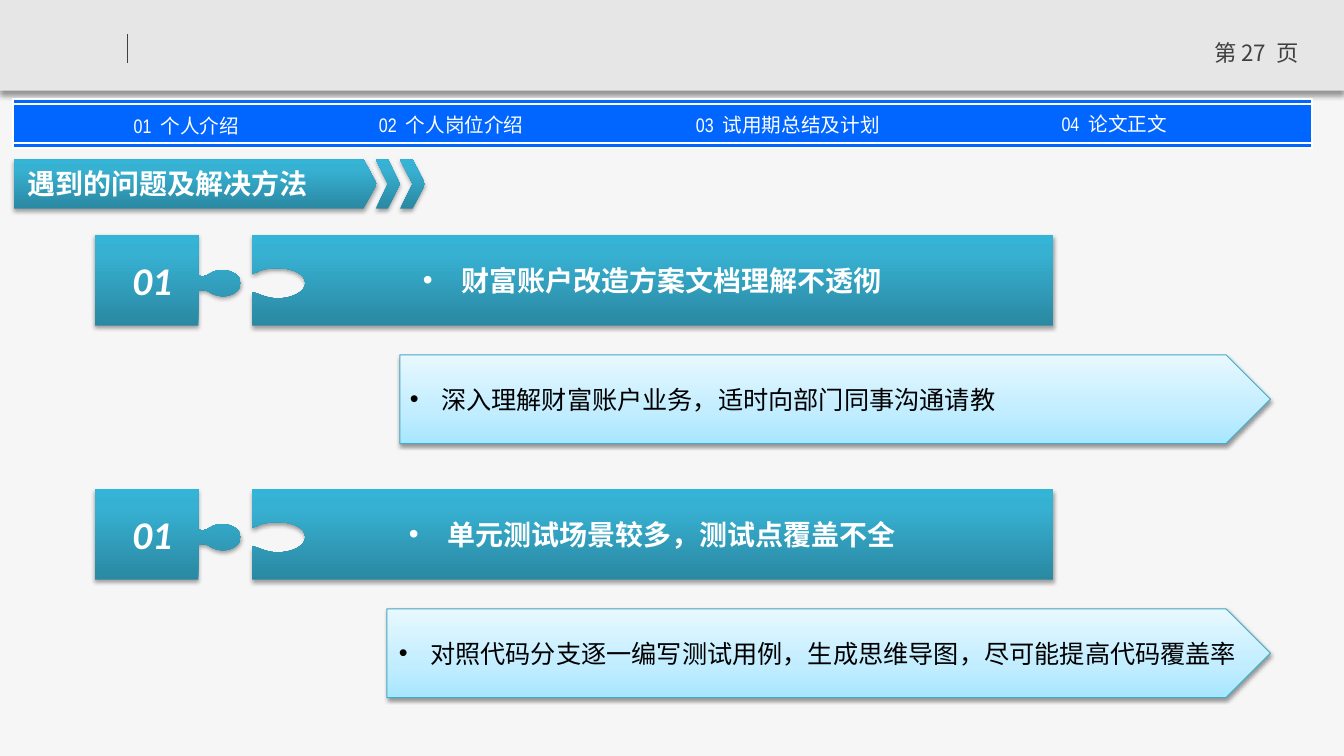
from dataclasses import dataclass

from pptx import Presentation
from pptx.dml.color import RGBColor
from pptx.enum.shapes import MSO_CONNECTOR, MSO_SHAPE
from pptx.enum.text import MSO_ANCHOR, PP_ALIGN
from pptx.oxml import parse_xml
from pptx.oxml.ns import nsdecls, qn
from pptx.shapes.autoshape import Shape
from pptx.slide import Slide
from pptx.util import Inches, Pt

CJK = "Noto Sans CJK SC"
TEAL = ((0, "2A88A2"), (80, "37B1D2"), (100, "34B4D6"))
SKY = ((0, "A7E6FF"), (35, "C1EDFF"), (100, "E7F8FF"))

KNOB = (
    (1.27, 0.35),
    (1.22, 0.35, 1.18, 0.36, 1.15, 0.38),
    (1.15, 0.38, 1.14, 0.39, 1.13, 0.39),
    (1.12, 0.40, 1.10, 0.41, 1.08, 0.41),
    (1.06, 0.41, 1.04, 0.41, 1.03, 0.40),
    (1.03, 0), (0, 0), (0, 0.9), (1.03, 0.9), (1.03, 0.55),
    (1.05, 0.55, 1.06, 0.55, 1.07, 0.55),
    (1.10, 0.55, 1.13, 0.56, 1.14, 0.57),
    (1.15, 0.58, 1.21, 0.61, 1.27, 0.61),
    (1.37, 0.61, 1.45, 0.55, 1.45, 0.48),
    (1.45, 0.41, 1.37, 0.35, 1.27, 0.35),
)
SOCKET = (
    (0, 0), (0, 0.39),
    (0.01, 0.38, 0.03, 0.38, 0.05, 0.37),
    (0.05, 0.37, 0.06, 0.37, 0.07, 0.36),
    (0.12, 0.34, 0.18, 0.33, 0.25, 0.33),
    (0.41, 0.33, 0.53, 0.39, 0.53, 0.48),
    (0.53, 0.56, 0.41, 0.63, 0.25, 0.63),
    (0.17, 0.63, 0.07, 0.59, 0.05, 0.58),
    (0.04, 0.58, 0.02, 0.57, 0, 0.57),
    (0, 0.9), (7.95, 0.9), (7.95, 0),
)


@dataclass(frozen=True)
class Shadow:
    alpha: int
    blur: float
    distance: float


@dataclass(frozen=True)
class Label:
    text: str
    size: int
    color: str = "FFFFFF"
    font: str = "Calibri"
    bold: bool = False
    italic: bool = False
    align: PP_ALIGN = PP_ALIGN.CENTER
    anchor: MSO_ANCHOR = MSO_ANCHOR.MIDDLE
    margins: tuple[float, ...] = (0.1, 0.05, 0.1, 0.05)
    bullet_indent: float = 0


@dataclass(frozen=True)
class NavItem:
    left: float
    top: float
    text: str


@dataclass(frozen=True)
class Issue:
    top: float
    problem: str
    answer: str
    answer_left: float
    answer_align: PP_ALIGN


TEAL_SHADOW = Shadow(35, 3.1, 1.8)
NAVIGATION = (
    NavItem(0.61, 1.13, "01  个人介绍"),
    NavItem(3.24, 1.12, "02  个人岗位介绍"),
    NavItem(9.82, 1.11, "04  论文正文"),
    NavItem(6.58, 1.12, "03  试用期总结及计划"),
)
ISSUES = (
    Issue(2.33, "财富账户改造方案文档理解不透彻",
          "深入理解财富账户业务，适时向部门同事沟通请教", 3.97, PP_ALIGN.LEFT),
    Issue(4.85, "单元测试场景较多，测试点覆盖不全",
          "对照代码分支逐一编写测试用例，生成思维导图，尽可能提高代码覆盖率", 3.84, PP_ALIGN.CENTER),
)


def rgb(value: str) -> RGBColor:
    return RGBColor.from_string(value)


def write(box: Shape, label: Label) -> None:
    frame = box.text_frame
    left, top, right, bottom = map(Inches, label.margins)
    layout = {"word_wrap": True, "vertical_anchor": label.anchor, "margin_left": left,
              "margin_top": top, "margin_right": right, "margin_bottom": bottom}
    for name, value in layout.items():
        setattr(frame, name, value)
    para = frame.paragraphs[0]
    para.alignment = label.align
    if label.bullet_indent:
        properties = para._p.get_or_add_pPr()
        properties.set("marL", str(Inches(label.bullet_indent)))
        properties.set("indent", str(-Inches(label.bullet_indent)))
        properties.append(parse_xml(f'<a:buFont {nsdecls("a")} typeface="Arial"/>'))
        properties.append(parse_xml(f'<a:buChar {nsdecls("a")} char="•"/>'))
    span = para.add_run()
    span.text = label.text
    formats = {"name": label.font, "size": Pt(label.size), "bold": label.bold, "italic": label.italic}
    for name, value in formats.items():
        setattr(span.font, name, value)
    span.font.color.rgb = rgb(label.color)
    span.font._element.append(parse_xml(f'<a:ea {nsdecls("a")} typeface="{CJK}"/>'))


def paint(shape: Shape, fill: str | tuple, line: str = "", width: float = 0.75,
          shadow: Shadow | None = None) -> None:
    shape.fill.solid()
    if isinstance(fill, str):
        shape.fill.fore_color.rgb = rgb(fill)
    else:
        stops = "".join(f'<a:gs pos="{place * 1000}"><a:srgbClr val="{color}"/></a:gs>'
                        for place, color in fill)
        properties = shape._element.spPr
        properties.replace(properties.find(qn("a:solidFill")), parse_xml(
            f'<a:gradFill {nsdecls("a")} rotWithShape="1"><a:gsLst>{stops}</a:gsLst>'
            '<a:lin ang="16200000" scaled="0"/></a:gradFill>'))
    if line:
        shape.line.color.rgb = rgb(line)
        shape.line.width = Pt(width)
    else:
        shape.line.fill.background()
    shape.shadow.inherit = False
    if shadow:
        shape._element.spPr.find(qn("a:effectLst")).append(parse_xml(
            f'<a:outerShdw {nsdecls("a")} blurRad="{Pt(shadow.blur)}" dist="{Pt(shadow.distance)}" '
            f'dir="5400000" algn="t" rotWithShape="0"><a:srgbClr val="000000">'
            f'<a:alpha val="{shadow.alpha * 1000}"/></a:srgbClr></a:outerShdw>'))


def add_preset(page: Slide, kind: MSO_SHAPE, *area: float) -> Shape:
    return page.shapes.add_shape(kind, *map(Inches, area))


def add_text(page: Slide, label: Label, *area: float) -> None:
    write(page.shapes.add_textbox(*map(Inches, area)), label)


def bend(piece: Shape, outline: tuple) -> None:
    segments = iter(list(piece._element.iter(qn("a:lnTo"))))
    for step in outline[1:]:
        first = next(segments)
        if len(step) == 2:
            continue
        curve = parse_xml(f'<a:cubicBezTo {nsdecls("a")}/>')
        first.addprevious(curve)
        for segment in (first, next(segments), next(segments)):
            curve.append(segment[0])
            segment.getparent().remove(segment)


def add_puzzle(page: Slide, outline: tuple, left: float, top: float, label: Label) -> None:
    points = [(Inches(left + step[at]), Inches(top + step[at + 1]))
              for step in outline for at in range(0, len(step), 2)]
    builder = page.shapes.build_freeform(*points[0])
    builder.add_line_segments(points[1:], close=True)
    piece = builder.convert_to_shape()
    bend(piece, outline)
    paint(piece, TEAL, shadow=TEAL_SHADOW)
    write(piece, label)


def add_header(page: Slide) -> None:
    paint(add_preset(page, MSO_SHAPE.RECTANGLE, 0, 0, 13.34, 0.9), "E6E6E6", shadow=Shadow(40, 4, 3))
    divider = page.shapes.add_connector(MSO_CONNECTOR.STRAIGHT, *map(Inches, (1.27, 0.34, 1.27, 0.63)))
    divider.line.color.rgb = rgb("404040")
    divider.line.width = Pt(0.75)
    divider._element.spPr.append(parse_xml(f'<a:effectLst {nsdecls("a")}/>'))
    add_text(page, Label("第 27  页", 16, "404040", CJK, anchor=MSO_ANCHOR.TOP), 11.87, 0.34, 1.2, 0.4)
    for top, height in ((1.03, 0.43), (1.42, 0.05), (0.98, 0.05)):
        paint(add_preset(page, MSO_SHAPE.RECTANGLE, 0.13, top, 12.89, height), "0066FF", "FFFFFF", 1.5)
    for item in NAVIGATION:
        label = Label(item.text, 14, font="Arial Narrow", margins=(0, 0, 0, 0))
        add_text(page, label, item.left, item.top, 2.48, 0.24)


def add_title(page: Slide) -> None:
    banner = add_preset(page, MSO_SHAPE.PENTAGON, 0.14, 1.58, 3.6, 0.49)
    banner.adjustments[0] = 0.27
    chevrons = [add_preset(page, MSO_SHAPE.CHEVRON, left, 1.58, width, 0.49)
                for left, width in ((3.73, 0.24), (3.97, 0.25))]
    for shape in (banner, *chevrons):
        paint(shape, TEAL, shadow=TEAL_SHADOW)
    add_text(page, Label(" 遇到的问题及解决方法", 20, font=CJK, bold=True, align=PP_ALIGN.LEFT,
                         anchor=MSO_ANCHOR.TOP), 0.11, 1.6, 3.72, 0.44)


def add_issue(page: Slide, issue: Issue) -> None:
    number = Label("01", 28, bold=True, italic=True, margins=(0, 0.05, 0.31, 0.05))
    problem = Label(issue.problem, 20, bold=True, margins=(0.29, 0.05, 0.29, 0.05), bullet_indent=0.38)
    add_puzzle(page, KNOB, 0.94, issue.top, number)
    add_puzzle(page, SOCKET, 2.5, issue.top, problem)
    arrow = add_preset(page, MSO_SHAPE.PENTAGON, issue.answer_left, issue.top + 1.19,
                       12.61 - issue.answer_left, 0.88)
    paint(arrow, SKY, "46AAC5", shadow=Shadow(38, 3.1, 1.6))
    write(arrow, Label(issue.answer, 18, "000000", align=issue.answer_align, bullet_indent=0.31))


def main() -> None:
    """Build the slide on problems met and how they were solved."""
    deck = Presentation()
    deck.slide_width, deck.slide_height = Inches(13.34), Inches(7.5)
    page = deck.slides.add_slide(deck.slide_layouts[6])
    page.background.fill.solid()
    page.background.fill.fore_color.rgb = rgb("F6F6F6")
    add_header(page)
    add_title(page)
    for issue in ISSUES:
        add_issue(page, issue)
    deck.save("out.pptx")


if __name__ == "__main__":
    main()
